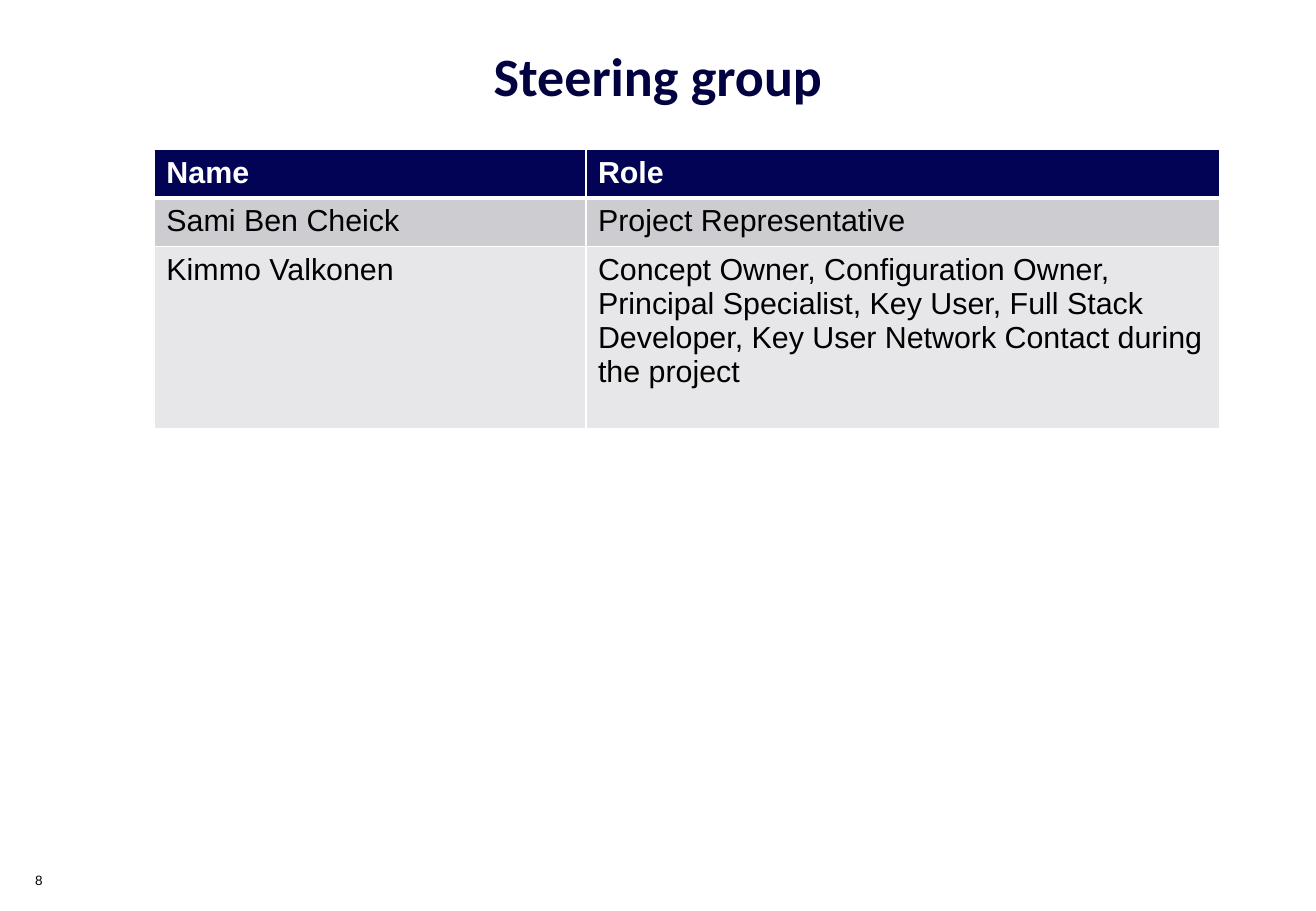
from lxml.etree import SubElement
from pptx import Presentation
from pptx.dml.color import RGBColor
from pptx.enum.text import MSO_ANCHOR, PP_ALIGN
from pptx.oxml.ns import qn
from pptx.util import Inches, Pt

TITLE_NAVY = RGBColor(0x02, 0x02, 0x40)
HEADER_NAVY = RGBColor(0x03, 0x03, 0x56)
DARK_BAND = RGBColor(0xCC, 0xCC, 0xD1)
LIGHT_BAND = RGBColor(0xE7, 0xE7, 0xE9)
WHITE = RGBColor(0xFF, 0xFF, 0xFF)
BLACK = RGBColor(0, 0, 0)

MEMBERS = [
    ("Name", "Role"),
    ("Sami Ben Cheick", "Project Representative"),
    ("Kimmo Valkonen",
     "Concept Owner, Configuration Owner, Principal Specialist, Key User, "
     "Full Stack Developer, Key User Network Contact during the project"),
]
ROW_HEIGHTS = (0.4, 0.4, 1.5)
NAME_SHARE = 0.405


def set_font(paragraph, name, size, color, bold=False):
    font = paragraph.font
    font.name, font.size, font.bold = name, Pt(size), bold
    font.color.rgb = color


def set_borders(cell, widths):
    properties = cell._tc.get_or_add_tcPr()
    for side, width in zip("LRTB", widths):
        line = SubElement(properties, qn(f"a:ln{side}"), w=str(Pt(width)))
        fill = SubElement(line, qn("a:solidFill"))
        SubElement(fill, qn("a:srgbClr"), val=str(WHITE))


def add_title(slide, left, top, width, height):
    title = slide.shapes.title
    title.left, title.top = Inches(left), Inches(top)
    title.width, title.height = Inches(width), Inches(height)
    title.text_frame.text = "Steering group"
    title.text_frame.vertical_anchor = MSO_ANCHOR.MIDDLE
    paragraph = title.text_frame.paragraphs[0]
    paragraph.alignment = PP_ALIGN.CENTER
    set_font(paragraph, "Calibri", 32, TITLE_NAVY, bold=True)


def add_member_table(slide, left, top, width):
    table = slide.shapes.add_table(
        len(MEMBERS), 2, Inches(left), Inches(top),
        Inches(width), Inches(sum(ROW_HEIGHTS))).table
    table.columns[0].width = Inches(width * NAME_SHARE)
    table.columns[1].width = Inches(width * (1 - NAME_SHARE))
    fills = (HEADER_NAVY, DARK_BAND, LIGHT_BAND)
    for row_index, (texts, height, fill) in enumerate(zip(MEMBERS, ROW_HEIGHTS, fills)):
        table.rows[row_index].height = Inches(height)
        is_header = row_index == 0
        top_width = 3 if row_index == 1 else 1
        bottom_width = 3 if is_header else 1
        for cell, text in zip(table.rows[row_index].cells, texts):
            cell.text = text
            set_font(cell.text_frame.paragraphs[0], "Arial", 18,
                     WHITE if is_header else BLACK, bold=is_header)
            set_borders(cell, (1, 1, top_width, bottom_width))
            cell.fill.solid()
            cell.fill.fore_color.rgb = fill


def add_slide_number(slide, left, top, width, height):
    text_box = slide.shapes.add_textbox(
        Inches(left), Inches(top), Inches(width), Inches(height))
    text_box.text_frame.word_wrap = True
    text_box.text_frame.text = "8"
    set_font(text_box.text_frame.paragraphs[0], "Arial", 8, BLACK)


presentation = Presentation()
presentation.slide_width, presentation.slide_height = Inches(10.83), Inches(7.5)

# Title-only slide
slide = presentation.slides.add_slide(presentation.slide_layouts[5])
add_title(slide, 0.2, 0, 10.43, 1.23)

# Group members and their roles
add_member_table(slide, 1.27, 1.23, 8.77)

# Footer
add_slide_number(slide, 0.19, 7.13, 0.41, 0.22)

presentation.save("out.pptx")
